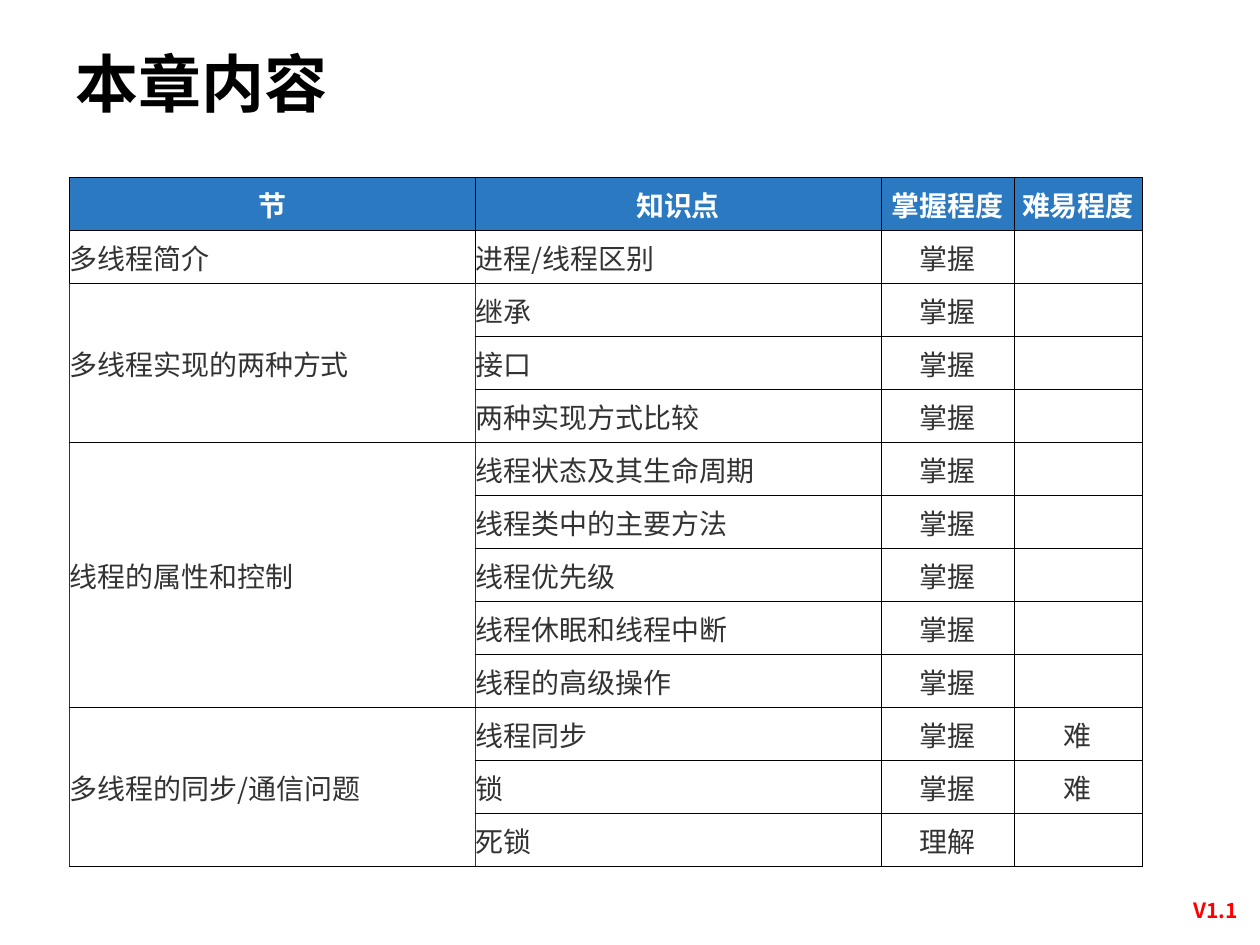
"""Build the chapter contents slide with its table of sections and topics."""
from lxml import etree
from pptx import Presentation
from pptx.dml.color import RGBColor
from pptx.enum import text
from pptx.oxml.ns import qn
from pptx.util import Pt

BLACK = RGBColor(0x00, 0x00, 0x00)
WHITE = RGBColor(0xFF, 0xFF, 0xFF)
RED = RGBColor(0xFF, 0x00, 0x00)
BLUE = RGBColor(0x2A, 0x79, 0xC1)
GRAY = RGBColor(0x33, 0x33, 0x33)
SANS = "Noto Sans CJK SC"
LEFT, CENTER, JUSTIFY = text.PP_ALIGN.LEFT, text.PP_ALIGN.CENTER, text.PP_ALIGN.JUSTIFY

HEADERS = ["节", "知识点", "掌握程度", "难易程度"]
SECTIONS = [
    ("多线程简介", [("进程/线程区别", "掌握", "")]),
    ("多线程实现的两种方式", [
        ("继承", "掌握", ""), ("接口", "掌握", ""), ("两种实现方式比较", "掌握", "")]),
    ("线程的属性和控制", [
        ("线程状态及其生命周期", "掌握", ""), ("线程类中的主要方法", "掌握", ""),
        ("线程优先级", "掌握", ""), ("线程休眠和线程中断", "掌握", ""),
        ("线程的高级操作", "掌握", "")]),
    ("多线程的同步/通信问题", [
        ("线程同步", "掌握", "难"), ("锁", "掌握", "难"), ("死锁", "理解", "")]),
]
COL_WIDTHS = [232, 232, 76, 73]
ROW_HEIGHT = 30.29


def write(p, content, size, font, color, bold, align):
    p.text = content
    p.alignment = align
    p.font.size = Pt(size)
    p.font.name = font
    p.font.bold = bold
    p.font.color.rgb = color


def fill_cell(cell, content, color, bold, align, fill, edges):
    cell.margin_left = cell.margin_right = Pt(0.5)
    cell.margin_top = cell.margin_bottom = Pt(3.6)
    cell.vertical_anchor = text.MSO_ANCHOR.MIDDLE
    write(cell.text_frame.paragraphs[0], content, 16, SANS, color, bold, align)
    tcPr = cell._tc.get_or_add_tcPr()
    for side in ("lnL", "lnR", "lnT", "lnB"):
        line_color, width = (GRAY, 0.45) if side in edges else (BLACK, 0.23)
        ln = etree.SubElement(tcPr, qn(f"a:{side}"), w=str(Pt(width)))
        solid = etree.SubElement(ln, qn("a:solidFill"))
        etree.SubElement(solid, qn("a:srgbClr"), val=str(line_color))
    if fill is None:
        cell.fill.background()
    else:
        cell.fill.solid()
        cell.fill.fore_color.rgb = fill


prs = Presentation()
prs.slide_width, prs.slide_height = Pt(720), Pt(540)
s = prs.slides.add_slide(prs.slide_layouts[5])

title = s.shapes.title
title.left, title.top, title.width, title.height = Pt(36), Pt(21.6), Pt(648), Pt(56)
tf = title.text_frame
tf.auto_size = text.MSO_AUTO_SIZE.NONE
tf.vertical_anchor = text.MSO_ANCHOR.MIDDLE
tf.margin_top, tf.margin_bottom = Pt(0), Pt(5.6)
write(tf.paragraphs[0], "本章内容", 36, "Times New Roman", BLACK, True, LEFT)

version = s.shapes.add_textbox(Pt(666), Pt(509.5), Pt(57), Pt(21.6))
tf = version.text_frame
tf.word_wrap = True
write(tf.paragraphs[0], "V1.1", 12, SANS, RED, True, CENTER)

row_count = 1 + sum(len(topics) for _, topics in SECTIONS)
frame = s.shapes.add_table(row_count, len(HEADERS), Pt(39.5), Pt(101.5),
                           Pt(sum(COL_WIDTHS)), Pt(ROW_HEIGHT * row_count))
table = frame.table
for column, width in zip(table.columns, COL_WIDTHS):
    column.width = Pt(width)
for row in table.rows:
    row.height = Pt(ROW_HEIGHT)

for col, header in enumerate(HEADERS):
    fill_cell(table.cell(0, col), header, WHITE, True, CENTER, BLUE, ())

first = 1
for section, topics in SECTIONS:
    merged = len(topics) > 1
    section_fill, edges = (None, ("lnL",)) if merged else (WHITE, ())
    topic_align = LEFT if section == SECTIONS[-1][0] else JUSTIFY
    for i, (topic, mastery, difficulty) in enumerate(topics):
        row = first + i
        fill_cell(table.cell(row, 0), "" if i else section, GRAY, False, LEFT,
                  section_fill, edges)
        fill_cell(table.cell(row, 1), topic, GRAY, False, topic_align, WHITE, edges)
        fill_cell(table.cell(row, 2), mastery, GRAY, False, CENTER, WHITE, ())
        fill_cell(table.cell(row, 3), difficulty, GRAY, False, CENTER, None, ())
    if merged:
        table.cell(first, 0).merge(table.cell(first + len(topics) - 1, 0))
    first += len(topics)

prs.save("out.pptx")
